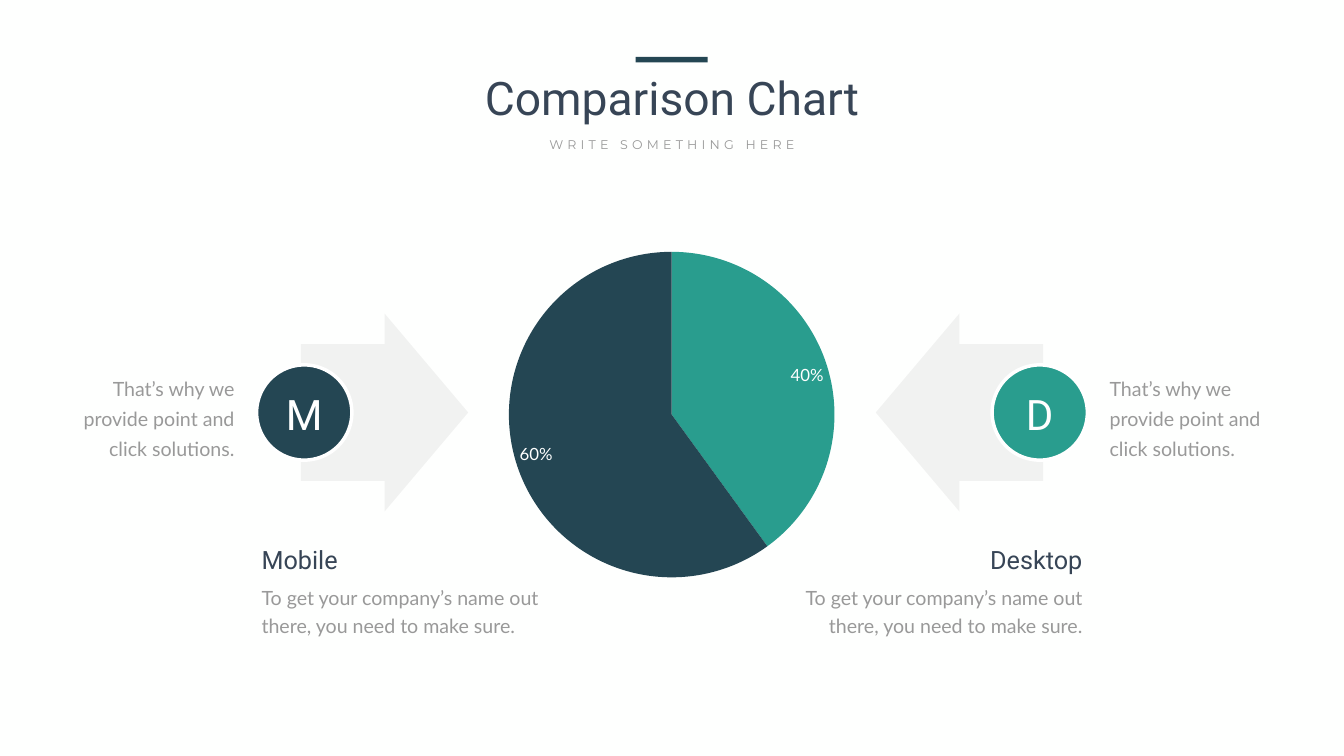
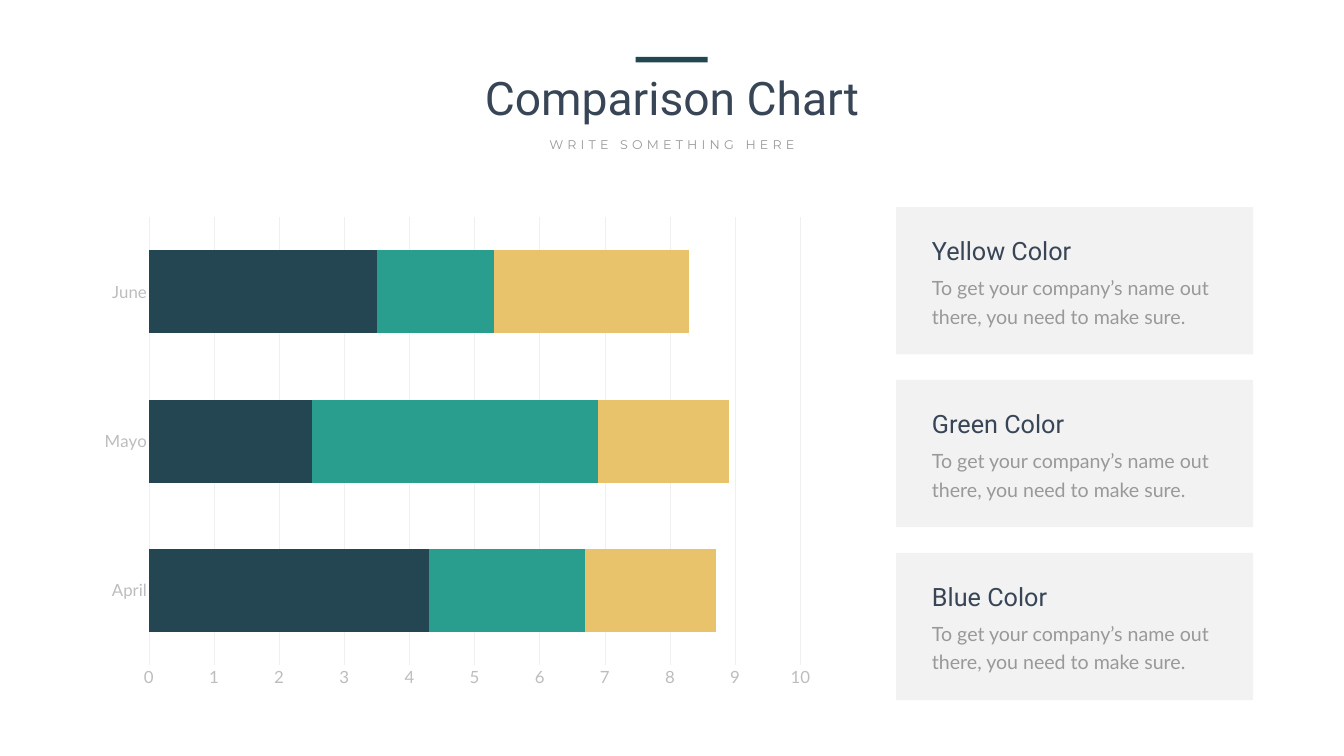
import pptx
import pptx.chart.data
import pptx.dml.color
import pptx.enum.chart
import pptx.enum.shapes
import pptx.enum.text
import pptx.oxml
import pptx.oxml.ns
import pptx.util
from dataclasses import dataclass

Cm, Pt = pptx.util.Cm, pptx.util.Pt
Align = pptx.enum.text.PP_ALIGN
Shape = pptx.enum.shapes.MSO_SHAPE
WIDTH, HEIGHT = 67.72, 38.1  # cm


@dataclass(frozen=True)
class Theme:
    background: str = "FEFFFE"
    white: str = "FFFFFF"
    heading: str = "374556"
    body: str = "999999"
    axis: str = "BDBDBD"
    grid: str = "F0F0F0"
    panel: str = "808080"
    navy: str = "244653"
    green: str = "299D8E"
    yellow: str = "E9C36B"
    heading_font: str = "Roboto"
    body_font: str = "Lato"
    subtitle_font: str = "Montserrat"
    title_size: int = 66
    badge_size: int = 60
    heading_size: int = 36
    body_size: int = 28
    chart_size: int = 24
    subtitle_size: int = 18
    body_leading: float = 40.8
    side_leading: float = 43


def rgb(color):
    return pptx.dml.color.RGBColor.from_string(color)


def mirror(left, width):
    """Left edge of the same element on the other half of the slide."""
    return WIDTH - left - width


class Deck:
    def __init__(self, theme):
        self.theme = theme
        self.prs = pptx.Presentation()
        self.prs.slide_width, self.prs.slide_height = Cm(WIDTH), Cm(HEIGHT)
        self.slide = None

    def new_slide(self, title, subtitle):
        t = self.theme
        self.slide = self.prs.slides.add_slide(self.prs.slide_layouts[5])
        fill = self.slide.background.fill
        fill.solid()
        fill.fore_color.rgb = rgb(t.background)
        # Title, subtitle and the short bar above them
        heading = self.slide.shapes.title
        heading.left, heading.top = Cm(19.66), Cm(3.35)
        heading.width, heading.height = Cm(28.42), Cm(3.07)
        self.fill_text(heading, title, t.heading_font, t.title_size, t.heading, Align.CENTER)
        tagline = self.text((26.29, 6.76, 15.14, 1.02), subtitle, t.subtitle_font,
                            t.subtitle_size, t.body, Align.CENTER)
        tagline.font._element.set("spc", "600")
        self.shape(Shape.RECTANGLE, (32.03, 2.87, 3.63, 0.28), t.navy)

    def fill_text(self, holder, words, font, size, color, align, leading=None):
        frame = holder.text_frame
        frame.text = words
        frame.word_wrap = True
        frame.auto_size = pptx.enum.text.MSO_AUTO_SIZE.SHAPE_TO_FIT_TEXT
        frame.vertical_anchor = pptx.enum.text.MSO_ANCHOR.TOP
        paragraph = frame.paragraphs[0]
        paragraph.alignment = align
        if leading:
            paragraph.line_spacing = Pt(leading)
        run = paragraph.runs[0]
        self.style(run.font, font, size, color)
        return run

    def style(self, font, name, size, color):
        font.name, font.size = name, Pt(size)
        font.color.rgb = rgb(color)

    def text(self, box, words, font, size, color, align, leading=None):
        holder = self.slide.shapes.add_textbox(*map(Cm, box))
        return self.fill_text(holder, words, font, size, color, align, leading)

    def body(self, box, words, align, leading):
        t = self.theme
        self.text(box, words, t.body_font, t.body_size, t.body, align, leading)

    def caption(self, left, top, heading, words, align=Align.LEFT):
        """A heading with two lines of text under it."""
        t, width = self.theme, 14.53
        self.text((left, top, width, 1.8), heading, t.heading_font,
                  t.heading_size, t.heading, align)
        self.body((left, top + 1.8, width, 3.02), words, align, t.body_leading)

    def shape(self, kind, box, color, alpha=None, outline=None):
        item = self.slide.shapes.add_shape(kind, *map(Cm, box))
        item.shadow.inherit = False
        item.fill.solid()
        item.fill.fore_color.rgb = rgb(color)
        if alpha:
            tint = item._element.spPr.find(".//" + pptx.oxml.ns.qn("a:srgbClr"))
            tint.append(pptx.oxml.parse_xml(
                f'<a:alpha {pptx.oxml.ns.nsdecls("a")} val="{alpha * 1000}"/>'))
        if outline:
            item.line.color.rgb = rgb(outline)
            item.line.width = Pt(5)
        else:
            item.line.fill.background()
        return item

    def chart(self, kind, box, categories, series, layout):
        """Chart with its plot area at layout: x, y, w, h as shares of the frame."""
        t = self.theme
        data = pptx.chart.data.CategoryChartData()
        data.categories = categories
        for number, values in enumerate(series, 1):
            data.add_series(f"Series {number}", values)
        chart = self.slide.shapes.add_chart(kind, *map(Cm, box), data).chart
        chart.has_title = chart.has_legend = False
        self.style(chart.font, t.body_font, t.chart_size, t.body)
        parts = "".join(f'<c:{tag} val="{value}"/>' for tag, value in zip("xywh", layout))
        plot_area = chart._chartSpace.chart.plotArea
        for old in plot_area.findall(pptx.oxml.ns.qn("c:layout")):
            plot_area.remove(old)
        plot_area.insert(0, pptx.oxml.parse_xml(
            f'<c:layout {pptx.oxml.ns.nsdecls("c")}><c:manualLayout>'
            '<c:layoutTarget val="inner"/><c:xMode val="edge"/><c:yMode val="edge"/>'
            f'{parts}</c:manualLayout></c:layout>'))
        return chart

    def paint(self, part, color):
        part.format.fill.solid()
        part.format.fill.fore_color.rgb = rgb(color)

    def pie(self, box, categories, values, colors, layout):
        t = self.theme
        chart = self.chart(pptx.enum.chart.XL_CHART_TYPE.PIE, box, categories, [values], layout)
        plot = chart.plots[0]
        for index, color in enumerate(colors):
            self.paint(plot.series[0].points[index], color)
        plot.has_data_labels = True
        labels = plot.data_labels
        labels.show_value, labels.show_percentage = False, True
        labels.number_format, labels.number_format_is_linked = "0%", False
        labels.position = pptx.enum.chart.XL_LABEL_POSITION.INSIDE_END
        self.style(labels.font, t.body_font, t.chart_size, t.white)

    def stacked_bars(self, box, categories, series, colors, layout):
        t = self.theme
        chart = self.chart(pptx.enum.chart.XL_CHART_TYPE.BAR_STACKED, box,
                           categories, series, layout)
        plot = chart.plots[0]
        plot.gap_width, plot.overlap, plot.vary_by_categories = 80, 100, False
        for bars, color in zip(plot.series, colors):
            self.paint(bars, color)
        months, scale = chart.category_axis, chart.value_axis
        for axis in (months, scale):
            axis.major_tick_mark = axis.minor_tick_mark = pptx.enum.chart.XL_TICK_MARK.NONE
            self.style(axis.tick_labels.font, t.body_font, t.chart_size, t.axis)
        scale.minimum_scale, scale.maximum_scale, scale.major_unit = 0, 10, 1
        scale.has_major_gridlines = True
        scale.format.line.fill.background()
        for line in (months.format.line, scale.major_gridlines.format.line):
            line.color.rgb = rgb(t.grid)
            line.width = Pt(0.75)


TITLE, SUBTITLE = "Comparison Chart", "WRITE SOMETHING HERE"
CAPTION = "To get your company’s name out there, you need to make sure."
REASON = "That’s why we provide point and click solutions."


def share_slide(deck):
    t = deck.theme
    deck.new_slide(TITLE, SUBTITLE)
    # Both devices, the second one mirrored
    devices = (("Mobile", t.navy, Shape.RIGHT_ARROW, Align.LEFT, Align.RIGHT),
               ("Desktop", t.green, Shape.LEFT_ARROW, Align.RIGHT, Align.LEFT))
    for device, color, arrow_kind, caption_align, reason_align in devices:
        def place(left, width):
            return left if device == "Mobile" else mirror(left, width)

        arrow = deck.shape(arrow_kind, (place(15.16, 8.43), 15.8, 8.43, 9.98), t.panel, alpha=10)
        arrow.adjustments[0], arrow.adjustments[1] = 0.69, 0.5
        deck.shape(Shape.OVAL, (place(12.93, 4.8), 18.39, 4.8, 4.8), color, outline=t.white)
        deck.text((place(13.21, 4.24), 19.43, 4.24, 2.82), device[0], t.heading_font,
                  t.badge_size, t.white, Align.CENTER)
        deck.caption(place(12.93, 14.53), 27.33, device, CAPTION, caption_align)
        deck.body((place(3.63, 8.43), 18.52, 8.43, 4.67), REASON, reason_align, t.side_leading)
    # Share of each device
    deck.pie((25.3, 11.33, 17.09, 19.13), ["1", "2"], [40, 60], [t.green, t.navy],
             (0.02, 0.07, 0.96, 0.86))


def months_slide(deck):
    t = deck.theme
    deck.new_slide(TITLE, SUBTITLE)
    # Cards that explain the colours
    for row, color_name in enumerate(("Yellow", "Green", "Blue")):
        top = 10.44 + row * 8.71
        deck.shape(Shape.RECTANGLE, (45.16, top, 17.98, 7.42), t.panel, alpha=10)
        deck.caption(46.71, top + 1.3, f"{color_name} Color", CAPTION)
    # Values by month
    deck.stacked_bars((4.55, 10.44, 36.88, 24.82), ["April", "Mayo", "June"],
                      [[4.3, 2.5, 3.5], [2.4, 4.4, 1.8], [2, 2, 3]],
                      [t.navy, t.green, t.yellow], (0.08, 0.02, 0.89, 0.91))


def main():
    deck = Deck(Theme())
    share_slide(deck)
    months_slide(deck)
    deck.prs.save("out.pptx")


if __name__ == "__main__":
    main()
